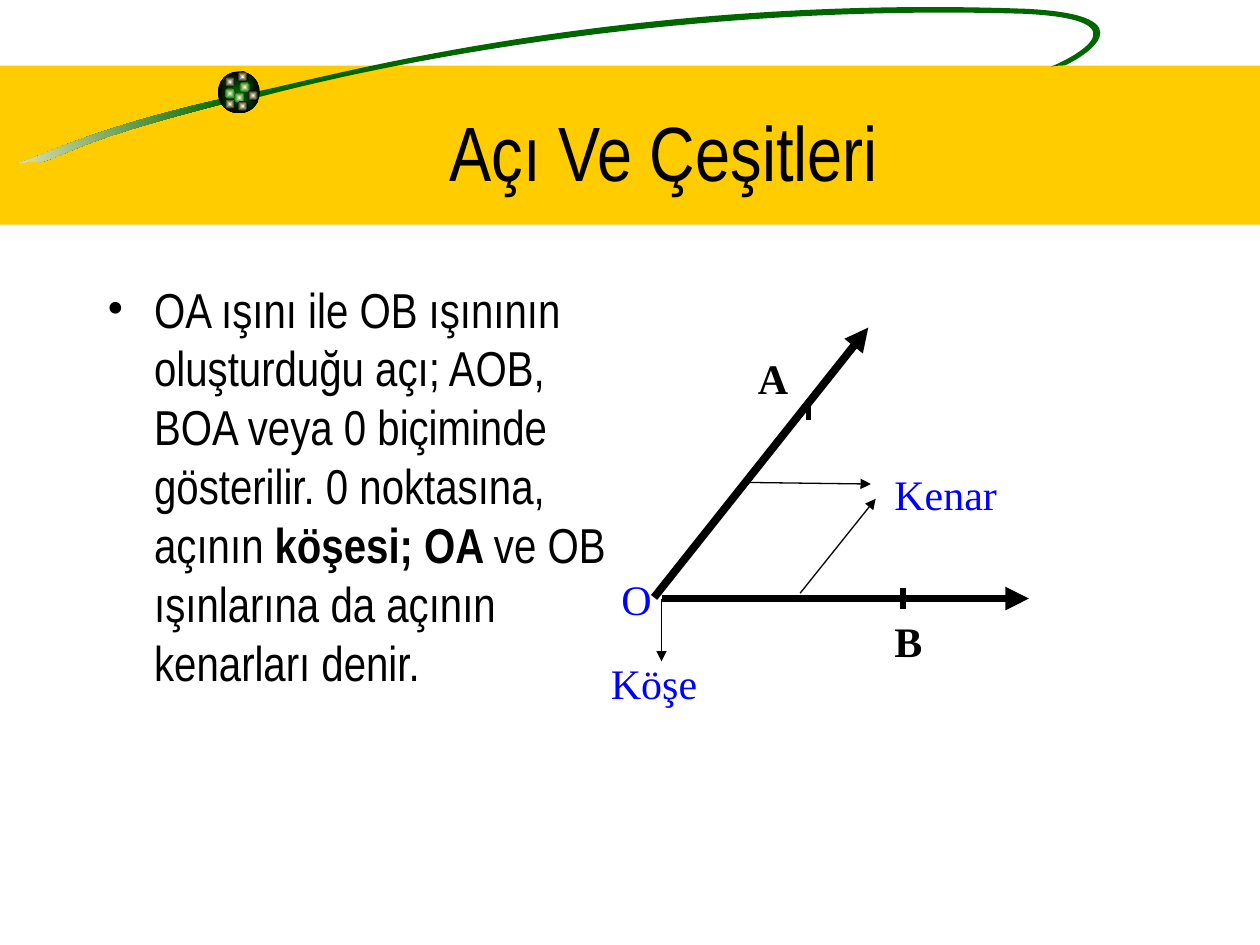
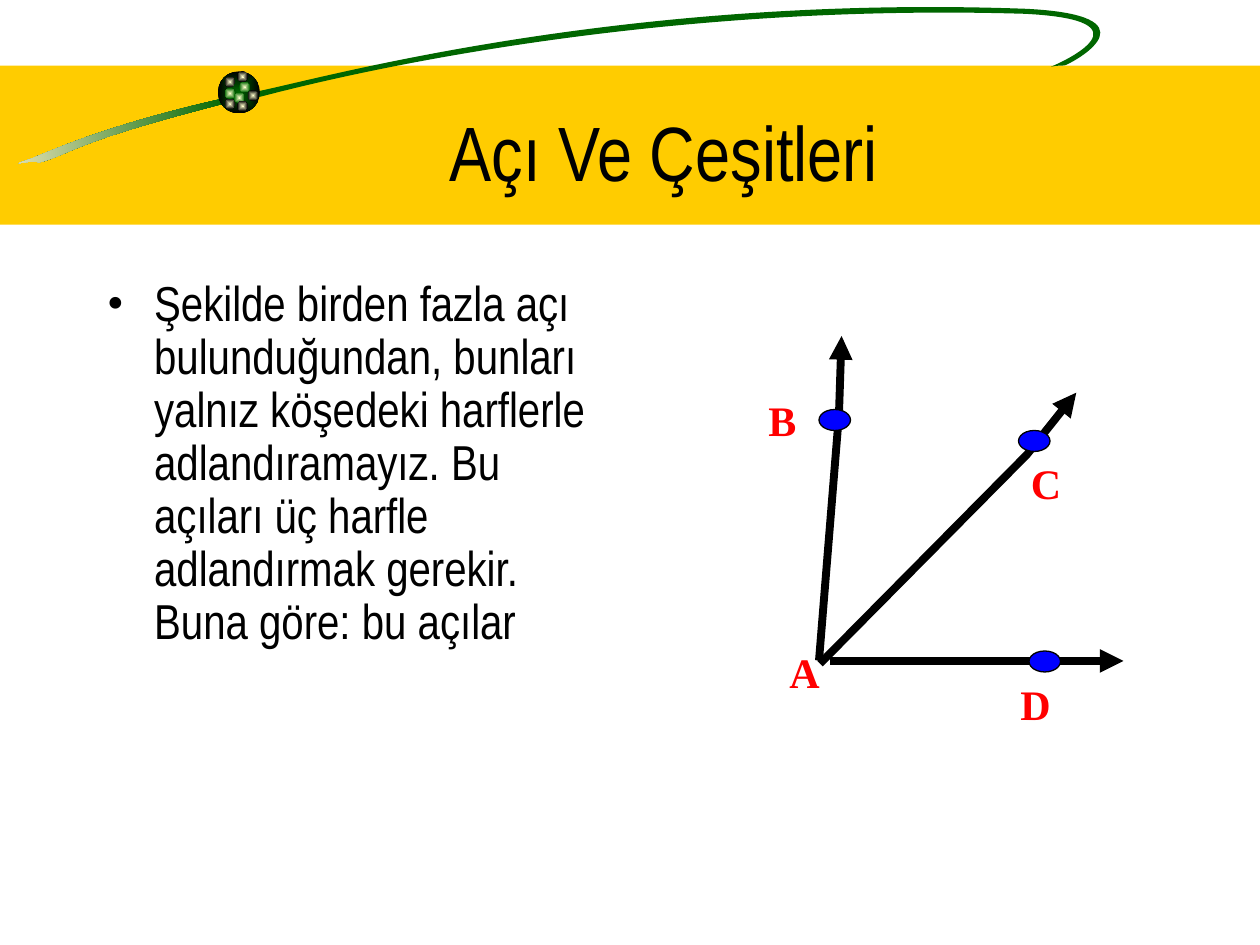
from dataclasses import dataclass
from math import cos, radians, sin
from typing import NamedTuple

from lxml.etree import SubElement
from pptx import Presentation
from pptx.dml.color import RGBColor
from pptx.enum.shapes import MSO_CONNECTOR as Connector, MSO_SHAPE as Preset
from pptx.enum.text import MSO_ANCHOR as Anchor, MSO_AUTO_SIZE as AutoSize, PP_ALIGN as Align
from pptx.oxml.ns import qn
from pptx.util import Emu, Inches, Pt

# Grid: 120 columns by 90 rows of square cells
WIDTH, HEIGHT = Inches(10), Inches(7.5)
CELL = WIDTH / 120

COLORS = {
    "black": "000000", "white": "FFFFFF", "band": "FFCC00", "green": "006600",
    "sand": "F5EBC1", "cream": "FFFFCC", "blue": "0000FF", "red": "FF0000",
}
NARROW, SERIF = "Arial Narrow", "Times New Roman"
TITLE = "Açı Ve Çeşitleri"
THICK, MEDIUM, THIN = 4.5, 3, 0.75
TILT = -8.5  # degrees, rotation of the swoosh


class Point(NamedTuple):
    col: float
    row: float


class Area(NamedTuple):
    col: float
    row: float
    cols: float
    rows: float


@dataclass
class Label:
    text: str
    area: Area
    color: str
    bold: bool = False


@dataclass
class Stroke:
    """An open line through two or more points."""
    points: list
    width: float = THICK
    arrow: bool = True


@dataclass
class Lesson:
    body: list
    strokes: list
    labels: list
    dots: tuple = ()
    line_spacing: float = 1.0


# Shared decoration: each curve is a start followed by triples of Bezier points
TAIL_CURVE = [
    (21.36, 9.36), (10.92, 11.76), (5.88, 13.92), (3, 15.12),
    (0.12, 16.08), (3.12, 15.12), (3.72, 15.48),
    (6.84, 14.64), (6.84, 13.56), (21.48, 9.84),
    (21.48, 9.84), (21.36, 9.36), (21.36, 9.36),
]
LOOP_CURVE = [
    (24.24, 8.76), (29.52, 7.8), (58.32, -0.6), (97.68, 0.84),
    (110.04, 1.44), (102.84, 5.64), (101.4, 6.24),
    (101.4, 6.24), (100.56, 6.24), (100.08, 6.36),
    (101.28, 5.88), (109.92, 1.92), (97.56, 1.32),
    (65.76, 0.36), (38.4, 5.64), (24.72, 9.24),
    (24.72, 9.24), (24.24, 8.76), (24.24, 8.76),
]
BALL = Area(20.75, 6.8, 4, 4)
BEADS = [
    (22.8, 7.8, "green"), (21.4, 7.3, "black"), (21.4, 8.4, "green"),
    (22.3, 8.8, "green"), (23.6, 8.6, "black"), (22.6, 9.6, "black"),
    (21.4, 9.4, "black"), (22.6, 6.8, "black"),
]


# Helpers
def rgb(name: str) -> RGBColor:
    return RGBColor.from_string(COLORS[name])


def cells(*values: float) -> list:
    return [Emu(round(value * CELL)) for value in values]


def turn(x: float, y: float, degrees: float) -> tuple:
    """Rotate a point clockwise about the slide's corner."""
    angle = radians(degrees)
    return x * cos(angle) - y * sin(angle), x * sin(angle) + y * cos(angle)


def write(frame, pieces, *, font=NARROW, size=28, color="black", align=Align.LEFT,
          anchor=Anchor.TOP, before=0, spacing=1.0, bullet=False) -> None:
    """Write (text, bold) pieces as one paragraph."""
    frame.word_wrap = True
    frame.vertical_anchor = anchor
    para = frame.paragraphs[0]
    para.alignment = align
    para.space_before = Pt(before)
    para.line_spacing = spacing
    for text, bold in pieces:
        span = para.add_run()
        span.text = text
        span.font.name, span.font.size, span.font.bold = font, Pt(size), bold
        span.font.color.rgb = rgb(color)
    if bullet:
        props = para._p.get_or_add_pPr()
        indent = Pt(27)
        props.set("marL", str(indent))
        props.set("indent", str(-indent))
        SubElement(props, qn("a:buFont")).set("typeface", SERIF)
        SubElement(props, qn("a:buChar")).set("char", "•")


def fill_gradient(shape, start: str, end: str, centred: bool = False) -> None:
    shape.fill.gradient()
    shape.fill.gradient_angle = 180
    for stop, color, position in zip(shape.fill.gradient_stops, (start, end), (0, 1)):
        stop.color.rgb = rgb(color)
        stop.position = position
    if centred:
        gradient = shape.element.spPr.find(qn("a:gradFill"))
        gradient.remove(gradient.find(qn("a:lin")))
        shade = SubElement(gradient, qn("a:path"))
        shade.set("path", "rect")
        centre = SubElement(shade, qn("a:fillToRect"))
        for side in "ltrb":
            centre.set(side, "50000")


def add_preset(slide, preset, area: Area, fill: str = "", outline: str = ""):
    shape = slide.shapes.add_shape(preset, *cells(*area))
    shape.shadow.inherit = False
    if fill:
        shape.fill.solid()
        shape.fill.fore_color.rgb = rgb(fill)
    if outline:
        shape.line.color.rgb = rgb(outline)
        shape.line.width = Pt(THIN)
    else:
        shape.line.fill.background()
    return shape


def add_outline(slide, points, close: bool):
    start, *rest = [cells(*point) for point in points]
    builder = slide.shapes.build_freeform(*start)
    builder.add_line_segments(rest, close=close)
    shape = builder.convert_to_shape()
    shape.shadow.inherit = False
    return shape


def add_curve(slide, knots):
    """Draw a closed chain of Bezier curves as a shape rotated by TILT."""
    shape = add_outline(slide, [turn(*knot, -TILT) for knot in knots], close=True)
    outline = next(shape.element.iter(qn("a:path")))
    segments = outline.findall(qn("a:lnTo"))[:len(knots) - 1]
    for first in range(0, len(segments), 3):
        curve = SubElement(outline, qn("a:cubicBezTo"))
        segments[first].addprevious(curve)
        for segment in segments[first:first + 3]:
            curve.append(segment.find(qn("a:pt")))
            outline.remove(segment)
    middle = turn(shape.left + shape.width / 2, shape.top + shape.height / 2, TILT)
    shape.left = Emu(round(middle[0] - shape.width / 2))
    shape.top = Emu(round(middle[1] - shape.height / 2))
    shape.rotation = TILT
    shape.line.fill.background()
    return shape


def add_stroke(slide, stroke: Stroke) -> None:
    if len(stroke.points) == 2:
        start, end = stroke.points
        shape = slide.shapes.add_connector(Connector.STRAIGHT, *cells(*start, *end))
    else:
        shape = add_outline(slide, stroke.points, close=False)
        shape.fill.background()
    shape.line.color.rgb = rgb("black")
    shape.line.width = Pt(stroke.width)
    props = shape.element.spPr
    if stroke.arrow:
        SubElement(props.find(qn("a:ln")), qn("a:tailEnd")).set("type", "triangle")
    if props.find(qn("a:effectLst")) is None:
        SubElement(props, qn("a:effectLst"))


def add_label(slide, label: Label) -> None:
    box = slide.shapes.add_textbox(*cells(*label.area))
    write(box.text_frame, [(label.text, label.bold)], font=SERIF, size=24,
          color=label.color, before=15)
    box.text_frame.auto_size = AutoSize.SHAPE_TO_FIT_TEXT


# Parts of a page
def add_decoration(slide) -> None:
    add_preset(slide, Preset.RECTANGLE, Area(0, 6.25, 120, 15.15), "band")
    fill_gradient(add_curve(slide, TAIL_CURVE), "green", "sand")
    loop = add_curve(slide, LOOP_CURVE)
    loop.fill.solid()
    loop.fill.fore_color.rgb = rgb("green")
    fill_gradient(add_preset(slide, Preset.OVAL, BALL), "green", "black", centred=True)
    for col, row, edge in BEADS:
        bead = add_preset(slide, Preset.OVAL, Area(col, row, 1, 1))
        fill_gradient(bead, "cream", edge, centred=True)
    # Half-transparent strip behind the bullets
    strip = add_preset(slide, Preset.RECTANGLE, Area(8.9, 24.7, 14.6, 65.3), "white")
    tint = next(strip.element.spPr.iter(qn("a:srgbClr")))
    SubElement(tint, qn("a:alpha")).set("val", "50000")


def add_title(slide) -> None:
    title = slide.shapes.title
    title.left, title.top, title.width, title.height = cells(6.85, 9.45, 112.8, 9.85)
    write(title.text_frame, [(TITLE, False)], size=44, align=Align.CENTER,
          anchor=Anchor.MIDDLE)
    title.element.getparent().append(title.element)  # bring in front of the band


def add_page(deck, lesson: Lesson) -> None:
    slide = deck.slides.add_slide(deck.slide_layouts[5])
    add_decoration(slide)
    add_title(slide)
    box = slide.shapes.add_textbox(*cells(9, 26, 50, 54))
    write(box.text_frame, lesson.body, before=7, spacing=lesson.line_spacing, bullet=True)
    for stroke in lesson.strokes:
        add_stroke(slide, stroke)
    for dot in lesson.dots:
        add_preset(slide, Preset.OVAL, Area(*dot, 3, 2), "blue", "black")
    for label in lesson.labels:
        add_label(slide, label)


# Content
ANGLE_PARTS = Lesson(
    body=[
        ("OA ışını ile OB ışınının oluşturduğu açı; AOB, BOA veya 0 biçiminde "
         "gösterilir. 0 noktasına, açının ", False),
        ("köşesi; OA ", True),
        ("ve OB ışınlarına da açının kenarları denir.", False),
    ],
    strokes=[
        Stroke([Point(62.3, 56.9), Point(82.7, 31.2)]),
        Stroke([Point(63, 57), Point(98, 57)]),
        Stroke([Point(71.4, 45.95), Point(82.95, 46.1)], THIN),
        Stroke([Point(76.2, 56.5), Point(83.4, 47.5)], THIN),
        Stroke([Point(63, 57), Point(63, 63)], THIN),
        Stroke([Point(86, 56), Point(86, 58)], MEDIUM, arrow=False),
        Stroke([Point(77, 38), Point(77, 40)], MEDIUM, arrow=False),
    ],
    labels=[
        Label("Kenar", Area(84, 44, 15, 6), "blue"),
        Label("O", Area(58, 54, 9, 6), "blue"),
        Label("Köşe", Area(57, 62, 19, 6), "blue"),
        Label("B", Area(84, 58, 8, 6), "black", bold=True),
        Label("A", Area(71, 33, 9, 6), "black", bold=True),
    ],
)
ANGLE_NAMES = Lesson(
    body=[("Şekilde birden fazla açı bulunduğundan, bunları yalnız köşedeki harflerle "
           "adlandıramayız. Bu açıları üç harfle adlandırmak gerekir. "
           "Buna göre: bu açılar", False)],
    line_spacing=0.9,
    strokes=[
        Stroke([Point(78, 62.9), Point(79.9, 39.5), Point(80.15, 32)]),
        Stroke([Point(79.05, 62.95), Point(107, 62.95)]),
        Stroke([Point(78.1, 63.2), Point(97.8, 43.3), Point(102.5, 37.4)]),
    ],
    dots=(Point(78, 39), Point(98, 62), Point(97, 41)),
    labels=[
        Label(letter, Area(col, row, 6, 6), "red", bold=True)
        for letter, col, row in [("D", 96, 64), ("A", 74, 61), ("C", 97, 43), ("B", 72, 37)]
    ],
)


def main() -> None:
    deck = Presentation()
    deck.slide_width, deck.slide_height = WIDTH, HEIGHT
    for lesson in (ANGLE_PARTS, ANGLE_NAMES):
        add_page(deck, lesson)
    deck.save("out.pptx")


if __name__ == "__main__":
    main()
